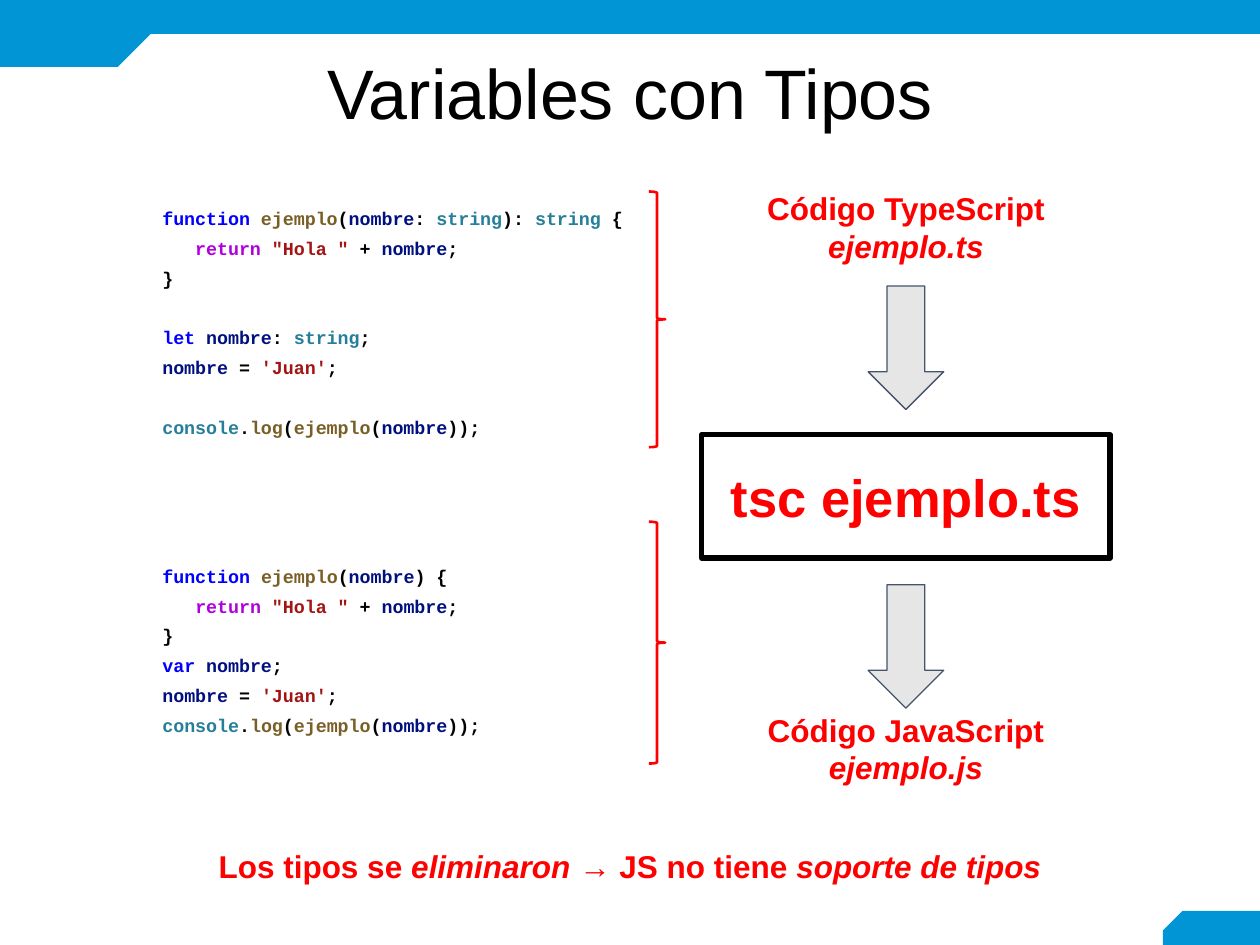
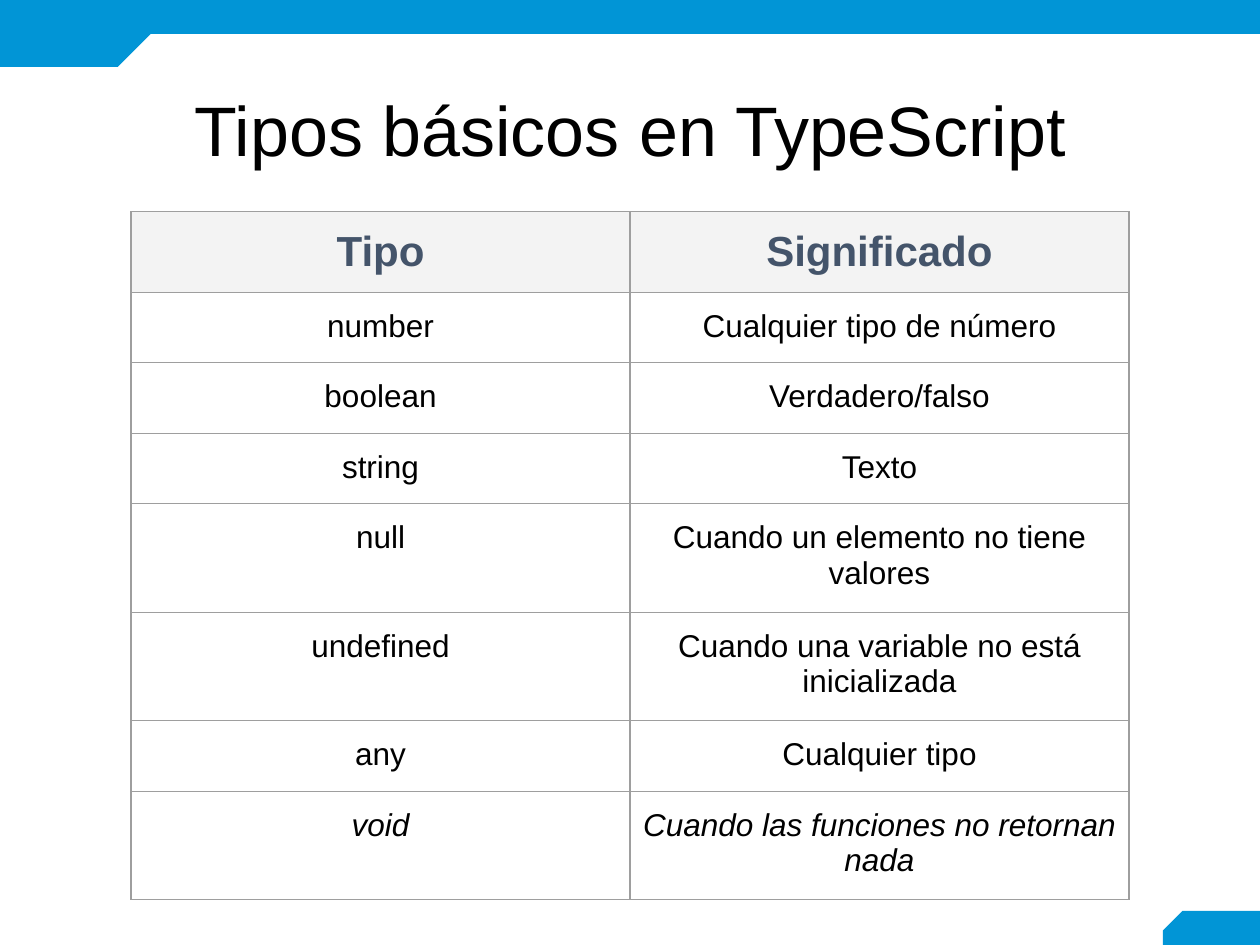
from lxml import etree
from pptx import Presentation
from pptx import util as u
from pptx.dml.color import RGBColor
from pptx.enum import shapes, text
from pptx.oxml.ns import qn

COLORS = {
    "band": "0195D6", "black": "000000", "red": "FF0000", "slate": "44546A",
    "arrow": "E7E6E6", "header": "F3F3F3", "border": "9E9E9E",
    "keyword": "0000FF", "call": "795E26", "variable": "001080",
    "type": "267F99", "return": "AF00DB", "literal": "A31515",
}
TITLE = dict(name="Arial", size=u.Pt(40), color="black")
NOTE = dict(name="Arial", size=u.Pt(18), bold=True, color="red")
COMMAND = {**NOTE, "size": u.Pt(30)}
CODE = dict(name="Courier New", size=u.Pt(10.5), bold=True)
CELL = dict(name="Arial", size=u.Pt(18), bold=False, color="black")
HEAD = {**CELL, "size": u.Pt(24), "bold": True, "color": "slate"}
CODE_PITCH = u.Pt(17)
SHAPE = shapes.MSO_SHAPE
MIDDLE = text.MSO_ANCHOR.MIDDLE
CENTER = text.PP_ALIGN.CENTER

# Code colours by word; "|" separates the tokens of a line
SYNTAX = {
    "function": "keyword", "let": "keyword", "var": "keyword",
    "return": "return", "ejemplo": "call", "log": "call",
    "nombre": "variable", "string": "type", "console": "type",
}
BODY = ['   |return |"Hola "| + |nombre|;', "}"]
ASSIGN = "nombre| = |'Juan'|;"
LOG = "console|.|log|(|ejemplo|(|nombre|));"
TS_CODE = ["function |ejemplo|(|nombre|: |string|): |string| {", *BODY, "",
           "let |nombre|: |string|;", ASSIGN, "", LOG]
JS_CODE = ["function |ejemplo|(|nombre|) {", *BODY,
           "var |nombre|;", ASSIGN, LOG]

TYPES = [
    ("Tipo", "Significado"),
    ("number", "Cualquier tipo de número"),
    ("boolean", "Verdadero/falso"),
    ("string", "Texto"),
    ("null", "Cuando un elemento no tiene valores"),
    ("undefined", "Cuando una variable no está inicializada"),
    ("any", "Cualquier tipo"),
    ("void", "Cuando las funciones no retornan nada"),
]
ROW_HEIGHTS = [0.64, 0.56, 0.56, 0.56, 0.86, 0.86, 0.56, 0.86]


def rgb(key):
    return RGBColor.from_string(COLORS[key])


def inches(box):
    return [u.Inches(v) for v in box]


def add_run(p, words, fmt, **changes):
    r = p.add_run()
    r.text = words
    for key, value in {**fmt, **changes}.items():
        if key == "color":
            r.font.color.rgb = rgb(value)
        else:
            setattr(r.font, key, value)


def set_frame(tf, inset=0.1, anchor=MIDDLE):
    values = dict(word_wrap=True, auto_size=text.MSO_AUTO_SIZE.NONE,
                  vertical_anchor=anchor)
    for side in ("left", "top", "right", "bottom"):
        values["margin_" + side] = u.Inches(inset)
    for key, value in values.items():
        setattr(tf, key, value)


def add_shape(s, kind, box, fill=None, line=None, width=1, adj=()):
    sp = s.shapes.add_shape(kind, *inches(box))
    sp.shadow.inherit = False
    for i, value in enumerate(adj):
        sp.adjustments[i] = value
    if fill:
        sp.fill.solid()
        sp.fill.fore_color.rgb = rgb(fill)
    else:
        sp.fill.background()
    if line:
        sp.line.color.rgb = rgb(line)
        sp.line.width = u.Pt(width)
    else:
        sp.line.fill.background()
    return sp


def write_centered(tf, runs, fmt):
    """Fill a frame with (words, italic) runs."""
    set_frame(tf)
    p = tf.paragraphs[0]
    p.alignment = CENTER
    for words, italic in runs:
        add_run(p, words, fmt, italic=italic)


def add_note(s, box, runs):
    write_centered(s.shapes.add_textbox(*inches(box)).text_frame, runs, NOTE)


def add_bands(s, layout):
    """Draw the blue bands and move them to the shared layout."""
    corner = add_shape(s, SHAPE.SNIP_1_RECTANGLE, (9.23, 7.23, 0.77, 0.31),
                       "band", adj=[0.5])
    bar = add_shape(s, SHAPE.RECTANGLE, (1.12, 0, 8.88, 0.27), "band")
    tab = add_shape(s, SHAPE.SNIP_1_RECTANGLE, (0, 0, 1.2, 0.53),
                    "band", adj=[0.5])
    tab.rotation = 180
    for sp in (corner, tab):
        sp.element.spPr.get_or_add_xfrm().set("flipH", "1")
    for i, sp in enumerate((corner, bar, tab)):
        sp.element.nvSpPr.cNvPr.set("id", str(101 + i))
        layout.shapes.element.insert(2 + i, sp.element)


def set_title(s, words, top):
    sp = s.shapes.title
    sp.left, sp.top, sp.width, sp.height = inches((0.34, top, 9.32, 0.83))
    write_centered(sp.text_frame, [(words, False)], TITLE)
    sp.text_frame.paragraphs[0].line_spacing = 0.9


def add_code(s, box, lines):
    tf = s.shapes.add_textbox(*inches(box)).text_frame
    set_frame(tf, anchor=text.MSO_ANCHOR.TOP)
    p, gap = tf.paragraphs[0], 0
    for i, line in enumerate(lines):
        if not line:
            gap = CODE_PITCH
            continue
        if i:
            p = tf.add_paragraph()
        p.line_spacing = 1.36
        p.space_before, gap = u.Pt(0) + gap, 0
        for token in line.split("|"):
            kind = SYNTAX.get(token.strip(), "black")
            if token[0] in "\"'":
                kind = "literal"
            add_run(p, token, CODE, color=kind)


def add_code_column(s, x):
    add_code(s, (x, 1.48, 3.96, 2.1), TS_CODE)
    add_code(s, (x, 4.32, 3.28, 1.61), JS_CODE)
    for top, height in ((1.52, 2.03), (4.14, 1.92)):
        add_shape(s, SHAPE.RIGHT_BRACE, (x + 3.96, top, 0.13, height),
                  line="red", width=1.5, adj=[0.083, 0.5])


def add_compile_flow(s, x, width):
    for top, language, name in ((1.54, "TypeScript", "ejemplo.ts"),
                                (5.68, "JavaScript", "ejemplo.js")):
        add_note(s, (x, top, width, 0.52),
                 [(f"Código {language} ", False), (name, True)])
    sp = add_shape(s, SHAPE.RECTANGLE, (x, 3.45, width, 0.98),
                   line="black", width=3)
    write_centered(sp.text_frame, [("tsc ejemplo.ts", False)], COMMAND)
    for top in (2.27, 4.64):
        add_shape(s, SHAPE.DOWN_ARROW, (x + width / 2 - 0.3, top, 0.6, 0.98),
                  "arrow", "slate", 0.75, [0.5, 0.5])


def set_borders(cell):
    tcPr = cell._tc.get_or_add_tcPr()
    for side in ("lnL", "lnR", "lnT", "lnB"):
        ln = etree.SubElement(tcPr, qn("a:" + side), w=str(u.Pt(0.75)))
        fill = etree.SubElement(ln, qn("a:solidFill"))
        etree.SubElement(fill, qn("a:srgbClr"), val=COLORS["border"])


def add_types_table(s, x, y, width):
    box = inches((x, y, width, sum(ROW_HEIGHTS)))
    table = s.shapes.add_table(len(TYPES), 2, *box).table
    table.first_row = table.horz_banding = False
    for i, (row, height) in enumerate(zip(TYPES, ROW_HEIGHTS)):
        table.rows[i].height = u.Inches(height)
        for j, words in enumerate(row):
            cell = table.cell(i, j)
            cell.margin_left = cell.margin_right = u.Inches(0.1)
            cell.margin_top = cell.margin_bottom = u.Inches(0.13)
            set_borders(cell)
            if i == 0:
                cell.fill.solid()
                cell.fill.fore_color.rgb = rgb("header")
            else:
                cell.fill.background()
            p = cell.text_frame.paragraphs[0]
            p.alignment = CENTER
            add_run(p, words, CELL if i else HEAD, italic=row[0] == "void")


def build_variables(s):
    set_title(s, "Variables con Tipos", 0.35)
    add_code_column(s, 1.19)
    add_compile_flow(s, 5.57, 3.24)
    add_note(s, (1.16, 6.61, 7.68, 0.52),
             [("Los tipos se ", False), ("eliminaron ", True),
              ("→ JS no tiene ", False), ("soporte de tipos", True)])


def build_types(s):
    set_title(s, "Tipos básicos en TypeScript", 0.65)
    add_types_table(s, 1.04, 1.68, 7.92)


def main():
    prs = Presentation()
    prs.slide_width, prs.slide_height = inches((10, 7.5))
    layout = prs.slide_layouts[5]
    for i, build in enumerate((build_variables, build_types)):
        s = prs.slides.add_slide(layout)
        if i == 0:
            add_bands(s, layout)
        build(s)
    prs.save("out.pptx")


if __name__ == "__main__":
    main()
